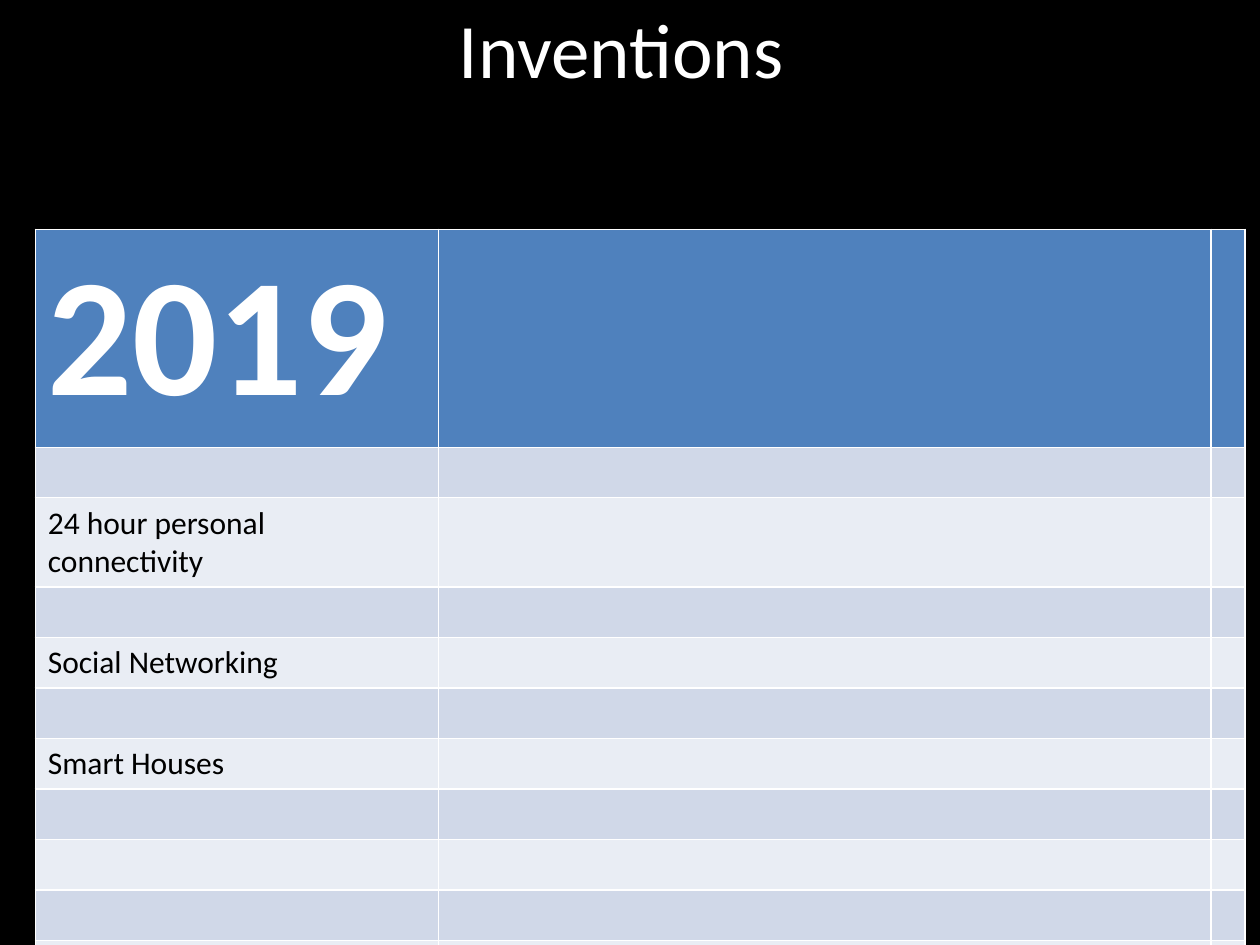
import pptx
import pptx.util
import pptx.dml.color
import pptx.enum.text
from pptx.util import Inches, Pt
from pptx.dml.color import RGBColor

BLACK = RGBColor(0x00, 0x00, 0x00)
WHITE = RGBColor(0xFF, 0xFF, 0xFF)
HEADER_BLUE = RGBColor(0x4F, 0x81, 0xBD)
BAND_COLORS = (RGBColor(0xD0, 0xD8, 0xE8), RGBColor(0xE9, 0xED, 0xF4))
FONT_NAME = "Calibri"

COLUMN_WIDTHS = (3.2, 6.13, 0.27)
HEADER_HEIGHT = 1.73
ROW_HEIGHT = 0.4
TWO_LINE_HEIGHT = 0.71
INVENTIONS = ("", "24 hour personal connectivity", "", "Social Networking",
              "", "Smart Houses", "", "", "", "", "")


def style_paragraph(paragraph, size, color, bold=False):
    paragraph.font.name = FONT_NAME
    paragraph.font.size = Pt(size)
    paragraph.font.color.rgb = color
    paragraph.font.bold = bold


def add_title(slide, text):
    title = slide.shapes.add_textbox(Inches(0.5), Inches(-0.25), Inches(9), Inches(1.25))
    frame = title.text_frame
    frame.word_wrap = True
    frame.vertical_anchor = pptx.enum.text.MSO_ANCHOR.MIDDLE
    paragraph = frame.paragraphs[0]
    paragraph.text = text
    paragraph.alignment = pptx.enum.text.PP_ALIGN.CENTER
    style_paragraph(paragraph, 44, WHITE)


def fill_row(table, row_index, label, fill_color, size, color, bold=False):
    table.cell(row_index, 0).text = label
    for cell in table.rows[row_index].cells:
        cell.fill.solid()
        cell.fill.fore_color.rgb = fill_color
        style_paragraph(cell.text_frame.paragraphs[0], size, color, bold)


def add_inventions_table(slide, year, inventions):
    heights = [HEADER_HEIGHT] + [ROW_HEIGHT] * len(inventions)
    heights[2] = TWO_LINE_HEIGHT
    table = slide.shapes.add_table(
        len(heights), len(COLUMN_WIDTHS), Inches(0.28), Inches(1.82),
        Inches(sum(COLUMN_WIDTHS)), Inches(sum(heights))).table
    for column, width in zip(table.columns, COLUMN_WIDTHS):
        column.width = Inches(width)
    for row, height in zip(table.rows, heights):
        row.height = Inches(height)
    fill_row(table, 0, year, HEADER_BLUE, 96, WHITE, bold=True)
    for index, invention in enumerate(inventions):
        fill_row(table, index + 1, invention, BAND_COLORS[index % 2], 18, BLACK)


def main():
    presentation = pptx.Presentation()
    presentation.slide_width = Inches(10)
    presentation.slide_height = Inches(7.5)
    slide = presentation.slides.add_slide(presentation.slide_layouts[6])
    slide.background.fill.solid()
    slide.background.fill.fore_color.rgb = BLACK
    add_title(slide, "Inventions ")
    add_inventions_table(slide, "2019", INVENTIONS)
    presentation.save("out.pptx")


if __name__ == "__main__":
    main()
